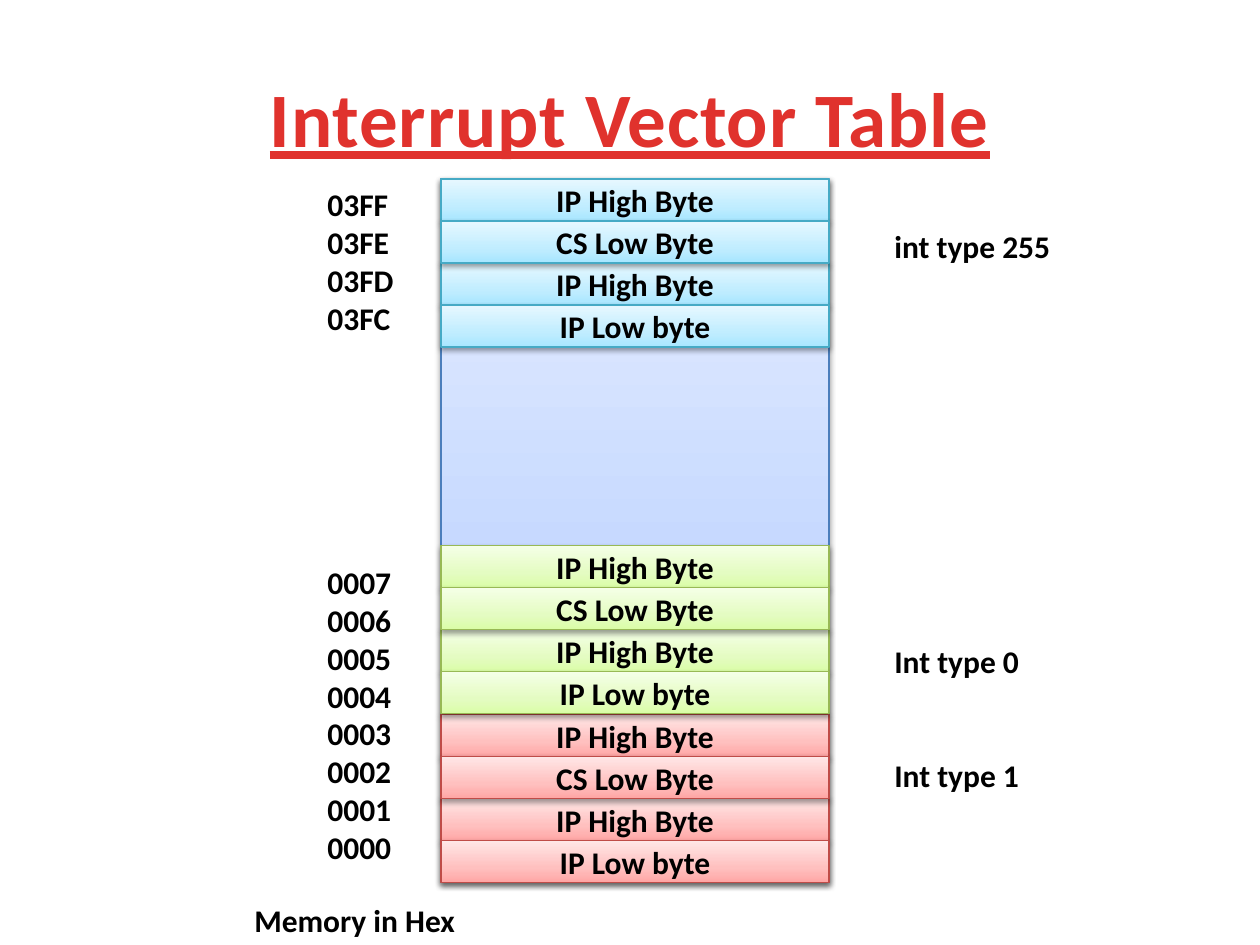
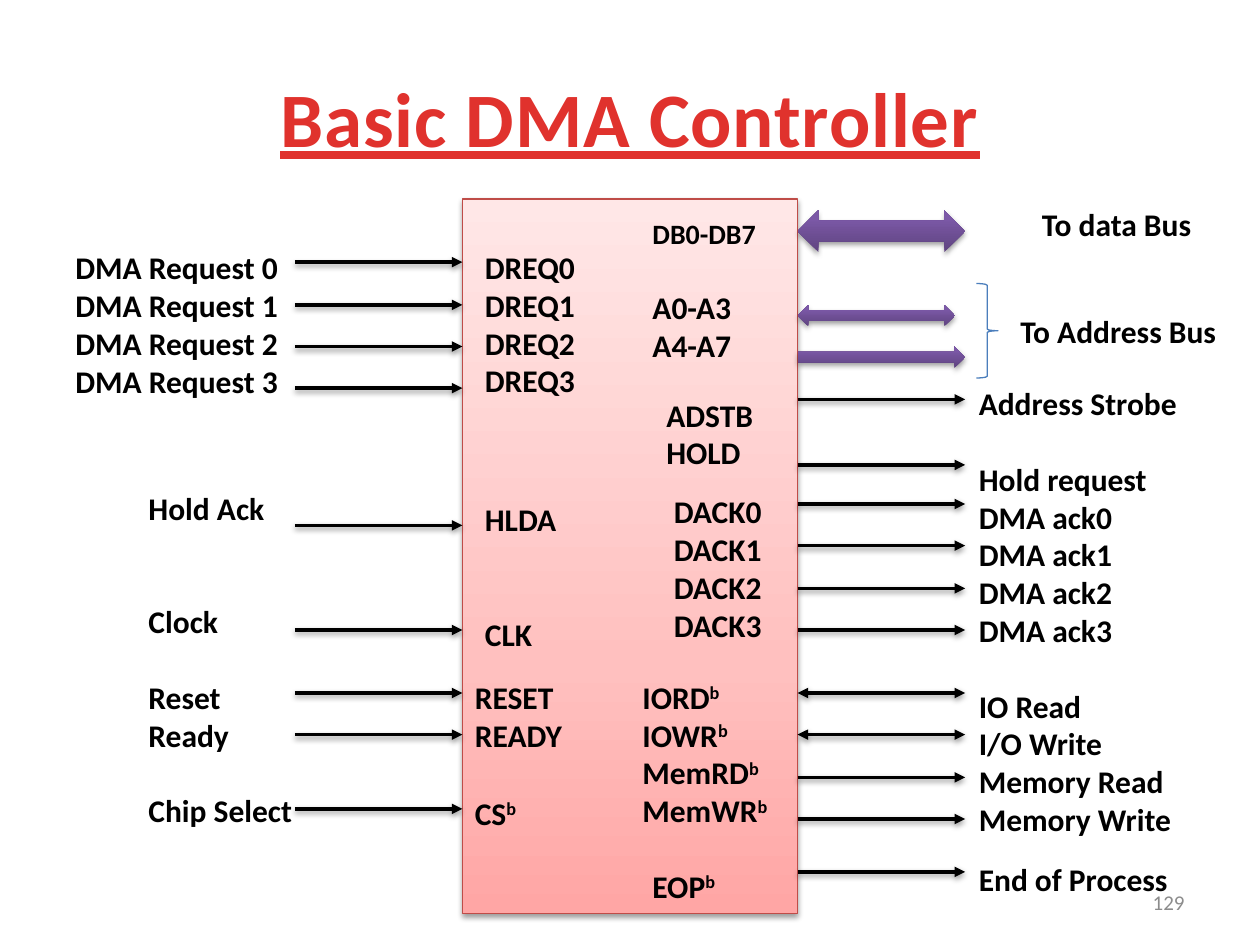
import copy
import dataclasses

import lxml.etree
import pptx
import pptx.dml.color
import pptx.enum.shapes
import pptx.enum.text
import pptx.oxml.ns
import pptx.util

Inches, Pt = pptx.util.Inches, pptx.util.Pt
ALIGN = pptx.enum.text.PP_ALIGN
ANCHOR = pptx.enum.text.MSO_ANCHOR
FIT = pptx.enum.text.MSO_AUTO_SIZE
SHAPE = pptx.enum.shapes.MSO_SHAPE
CONNECTOR = pptx.enum.shapes.MSO_CONNECTOR
qn = pptx.oxml.ns.qn


@dataclasses.dataclass(frozen=True)
class Paint:
    """Gradient stops from bottom to top, with an outline colour."""
    stops: tuple
    line: str = None


@dataclasses.dataclass(frozen=True)
class Theme:
    font: str = "Calibri"
    title: str = "E0322D"
    text: str = "000000"
    muted: str = "8C8C8C"
    outline: str = "4B7EBC"
    title_size: float = 44
    label_size: float = 18
    small_size: float = 16
    number_size: float = 12
    line_pitch: float = 1.2
    thin: float = 0.75
    thick: float = 2
    blue: Paint = Paint(((0, "A4C4FF"), (.35, "BFD4FF"), (1, "E6EEFF")), "4B7EBC")
    red: Paint = Paint(((0, "FFA6A5"), (.35, "FFC0BF"), (1, "FFE7E7")), "BF4C48")
    green: Paint = Paint(((0, "DAFDA7"), (.35, "E4FCC2"), (1, "F5FFE7")), "98B955")
    cyan: Paint = Paint(((0, "A7E6FF"), (.35, "C1EDFF"), (1, "E7F8FF")), "46AAC5")
    purple: Paint = Paint(((0, "5F4480"), (.8, "7B58A6"), (1, "7C57A8")))


T = Theme()


def rgb(value):
    return pptx.dml.color.RGBColor.from_string(value)


# ---- Text ----
def write_text(tf, lines, size=T.label_size, color=T.text, bold=True,
               underline=None, spacing=None, align=None):
    """Write one paragraph per string; a number leaves that many lines free.

    Whatever follows "^" in a string is raised.
    """
    gap, p = 0, None
    for line in lines:
        if not isinstance(line, str):
            gap = line
            continue
        p = tf.add_paragraph() if p is not None else tf.paragraphs[0]
        p.alignment = align
        if gap:
            p.space_before = Pt(gap * size * T.line_pitch)
            gap = 0
        for i, part in enumerate(line.split("^")):
            r = p.add_run()
            r.text = part
            r.font.name, r.font.size = T.font, Pt(size)
            r.font.bold, r.font.underline = bold, underline
            r.font.color.rgb = rgb(color)
            if spacing:
                r.font._element.set("spc", str(int(spacing * 100)))
            if i:
                r.font._element.set("baseline", "30000")


def add_label(slide, left, top, width, lines, height=0.4, wrap=True, **fmt):
    box = slide.shapes.add_textbox(Inches(left), Inches(top), Inches(width), Inches(height))
    tf = box.text_frame
    tf.word_wrap = wrap
    tf.auto_size = FIT.SHAPE_TO_FIT_TEXT
    write_text(tf, lines, **fmt)


def add_title_slide(prs, title):
    slide = prs.slides.add_slide(prs.slide_layouts[5])
    sp = slide.shapes.title
    sp.left, sp.top, sp.width, sp.height = map(Inches, (0.5, 0.3, 9, 1.25))
    sp.text_frame.auto_size = FIT.NONE
    sp.text_frame.vertical_anchor = ANCHOR.MIDDLE
    write_text(sp.text_frame, [title], size=T.title_size, color=T.title,
               underline=True, spacing=0.5, align=ALIGN.CENTER)
    return slide


# ---- Shapes and lines ----
def add_shadow(sp, alpha=38):
    effects = lxml.etree.SubElement(sp._element.spPr, qn("a:effectLst"))
    shadow = lxml.etree.SubElement(effects, qn("a:outerShdw"), blurRad="40000",
                                   dist="20000", dir="5400000", rotWithShape="0")
    color = lxml.etree.SubElement(shadow, qn("a:srgbClr"), val="000000")
    lxml.etree.SubElement(color, qn("a:alpha"), val=str(alpha * 1000))


def add_block(slide, kind, left, top, width, height, paint, text=None):
    sp = slide.shapes.add_shape(kind, Inches(left), Inches(top), Inches(width), Inches(height))
    sp.fill.gradient()
    sp.fill.gradient_angle = 90
    stop_list = sp._element.spPr.find(".//" + qn("a:gsLst"))
    stop_list.append(copy.deepcopy(stop_list[0]))
    for stop, (position, color) in zip(sp.fill.gradient_stops, paint.stops):
        stop.position, stop.color.rgb = position, rgb(color)
    if paint.line:
        sp.line.color.rgb, sp.line.width = rgb(paint.line), Pt(T.thin)
    else:
        sp.line.fill.background()
    add_shadow(sp)
    if text:
        sp.text_frame.vertical_anchor = ANCHOR.MIDDLE
        write_text(sp.text_frame, [text], align=ALIGN.CENTER)


def add_arrow(slide, left, right, y, both_ways=False):
    line = slide.shapes.add_connector(CONNECTOR.STRAIGHT, Inches(left), Inches(y),
                                      Inches(right), Inches(y))
    line.line.color.rgb, line.line.width = rgb(T.text), Pt(T.thick)
    ln = line._element.spPr.find(qn("a:ln"))
    for end in ("a:headEnd", "a:tailEnd") if both_ways else ("a:tailEnd",):
        lxml.etree.SubElement(ln, qn(end), type="triangle")
    add_shadow(line)


def add_brace(slide, left, top, width, height):
    sp = slide.shapes.add_shape(SHAPE.RIGHT_BRACE, Inches(left), Inches(top),
                                Inches(width), Inches(height))
    sp.shadow.inherit = False
    sp.fill.background()
    sp.line.color.rgb, sp.line.width = rgb(T.outline), Pt(T.thin)


# ---- Slides ----
def build_vector_table(prs):
    slide = add_title_slide(prs, "Interrupt Vector Table")
    left, top, width, cell = 3.5, 1.42, 3.08, 1 / 3

    # Addresses and interrupt types beside the memory column
    add_label(slide, 2.5, top, 1.25,
              ["03FF", "03FE", "03FD", "03FC", 6] + [f"{n:04X}" for n in range(7, -1, -1)],
              height=5.55)
    add_label(slide, 7, 1.75, 1.67,
              ["int type 255", 10, "Int type 0", 2, "Int type 1"], height=4.64)
    add_label(slide, 1.92, 7.1, 1.87, ["Memory in Hex"], wrap=False)

    # Memory column; the lower pair of each vector lies under the upper pair
    add_block(slide, SHAPE.RECTANGLE, left, top, width, 5.58, T.blue)
    vector = ["IP High Byte", "CS Low Byte", "IP High Byte", "IP Low byte"]
    for vector_top, paint in ((5.67, T.red), (4.33, T.green), (top, T.cyan)):
        for i in (2, 3, 0, 1):
            add_block(slide, SHAPE.RECTANGLE, left, vector_top + i * cell, width, cell,
                      paint, vector[i])


def build_dma_controller(prs):
    slide = add_title_slide(prs, "Basic DMA Controller")
    chip_left, chip_right = 3.67, 6.33
    reach = 1.33  # length of every signal arrow
    add_block(slide, SHAPE.RECTANGLE, chip_left, 1.58, chip_right - chip_left, 5.67, T.red)

    # Signals into the chip
    add_label(slide, 0.5, 1.92, 2.17, [f"DMA Request {n}" for n in range(4)], height=1.31)
    add_label(slide, 1.08, 3.83, 1.42,
              ["Hold Ack", 2, "Clock", 1, "Reset", "Ready", 1, "Chip Select"], height=2.83)
    for y in (2.08, 2.42, 2.75, 3.08, 4.17, 5, 5.5, 5.83, 6.42):
        add_arrow(slide, chip_left - reach, chip_left, y)

    # Signals out of the chip
    add_label(slide, 7.67, 3, 2.17,
              ["Address Strobe", 1, "Hold request"] + [f"DMA ack{n}" for n in range(4)]
              + [1, "IO Read", "I/O Write", "Memory Read", "Memory Write",
                 0.58, "End of Process"], height=4.22)
    for y in (3.17, 3.69, 4, 4.33, 4.67, 5, 5.5, 5.83, 6.17, 6.5, 6.92):
        add_arrow(slide, chip_right, chip_right + reach, y, both_ways=y in (5.5, 5.83))

    # Buses
    add_label(slide, 8.17, 1.58, 1.5, ["To data Bus"])
    add_label(slide, 8, 2.43, 1.83, ["To Address Bus"])
    add_brace(slide, 7.75, 2.25, 0.17, 0.75)
    for kind, y, width, height in ((SHAPE.LEFT_RIGHT_ARROW, 1.67, reach, 0.33),
                                   (SHAPE.LEFT_RIGHT_ARROW, 2.42, 1.25, 0.17),
                                   (SHAPE.RIGHT_ARROW, 2.75, reach, 0.17)):
        add_block(slide, kind, chip_right, y, width, height, T.purple)

    # Pin names inside the chip
    pins = (
        (3.75, 1.92, 1.08, [f"DREQ{n}" for n in range(4)]),
        (3.75, 3.92, 1, ["HLDA"]),
        (3.75, 4.83, 0.67, ["CLK"]),
        (3.67, 5.33, 1.08, ["RESET", "READY"]),
        (3.67, 6.25, 0.75, ["CS^b"]),
        (5.08, 2.24, 1.25, ["A0-A3", "A4-A7"]),
        (5.19, 3.09, 1.17, ["ADSTB", "HOLD"]),
        (5.25, 3.86, 1.17, [f"DACK{n}" for n in range(4)]),
        (5, 5.33, 1.42, ["IORD^b", "IOWR^b", "MemRD^b", "MemWR^b"]),
        (5.08, 6.83, 1.08, ["EOP^b"]),
    )
    add_label(slide, 5.08, 1.67, 1.25, ["DB0-DB7"], size=T.small_size)
    for left, top, width, names in pins:
        add_label(slide, left, top, width, names, height=0.1 + 0.3 * len(names))

    # Slide number
    add_label(slide, 7.17, 7.01, 2.33, ["129"], height=0.3, size=T.number_size,
              color=T.muted, bold=False, align=ALIGN.RIGHT)


def main():
    prs = pptx.Presentation()
    prs.slide_width, prs.slide_height = Inches(10), Inches(7.5)
    build_vector_table(prs)
    build_dma_controller(prs)
    prs.save("out.pptx")


if __name__ == "__main__":
    main()
